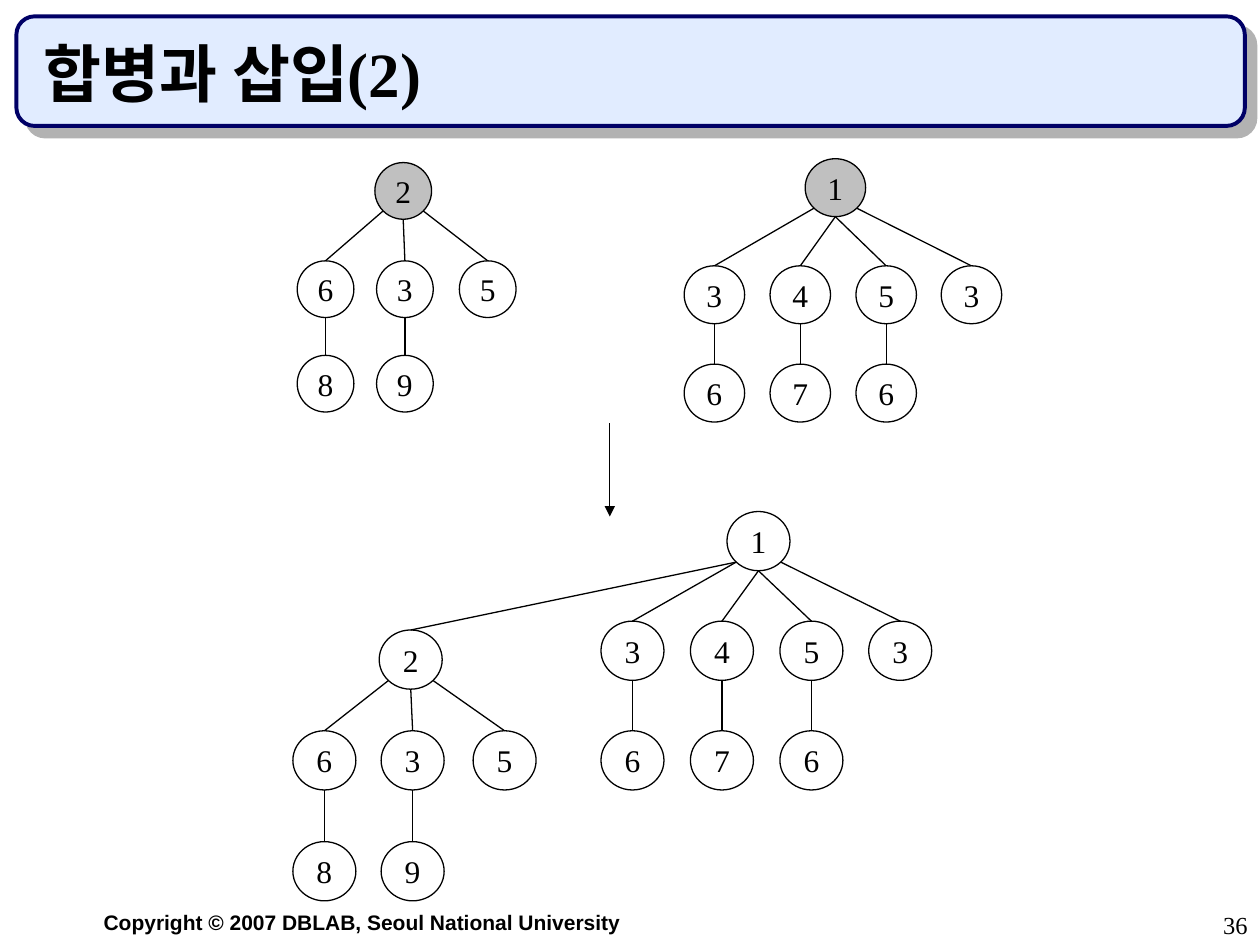
from dataclasses import dataclass
from math import sqrt

from lxml import etree
from pptx import Presentation
from pptx.dml.color import RGBColor
from pptx.enum.shapes import MSO_CONNECTOR, MSO_SHAPE
from pptx.enum.text import MSO_ANCHOR, PP_ALIGN
from pptx.oxml import parse_xml
from pptx.oxml.ns import qn
from pptx.util import Inches, Pt

STRAIGHT = MSO_CONNECTOR.STRAIGHT
OVAL, ROUNDED = MSO_SHAPE.OVAL, MSO_SHAPE.ROUNDED_RECTANGLE
LEFT, CENTER, RIGHT = PP_ALIGN.LEFT, PP_ALIGN.CENTER, PP_ALIGN.RIGHT
TOP, MIDDLE, BOTTOM = MSO_ANCHOR.TOP, MSO_ANCHOR.MIDDLE, MSO_ANCHOR.BOTTOM


@dataclass(frozen=True)
class Theme:
    serif: str = "Times New Roman"
    sans: str = "Arial"
    ink: str = "000000"
    banner: str = "E1ECFF"
    banner_edge: str = "000066"
    shadow: str = "B2B2B2"
    root: str = "C0C0C0"
    title_size: int = 36
    node_size: int = 18
    page_number_size: int = 14
    footer_size: int = 12
    thin: float = 0.75
    thick: float = 2.25


THEME = Theme()

TITLE = "합병과 삽입(2)"
FOOTER = "Copyright © 2007 DBLAB, Seoul National University"
PAGE_NUMBER = "36"

# Root label, then (label, offset from the root in node widths, label below or None)
TREE_TWO = ("2", [("6", -1.37, "8"), ("3", 0.03, "9"), ("5", 1.49, None)])
TREE_ONE = ("1", [("3", -2, "6"), ("4", -0.58, "7"), ("5", 0.84, "6"), ("3", 2.25, None)])

# Tree, root centre x, top of each level, node size, root fill
LAYOUTS = [
    (TREE_TWO, 3.2, (1.29, 2.07, 2.82), (0.45, 0.45), THEME.root),
    (TREE_ONE, 6.63, (1.26, 2.11, 2.89), (0.48, 0.46), THEME.root),
    (TREE_TWO, 3.26, (5.0, 5.8, 6.68), (0.5, 0.47), None),
    (TREE_ONE, 6.02, (4.06, 4.93, 5.8), (0.5, 0.47), None),
]


def color(value):
    return RGBColor.from_string(value)


def write(shape, text, size, font=THEME.serif, bold=False, align=LEFT, anchor=TOP, wrap=True):
    frame = shape.text_frame
    frame.word_wrap = wrap
    frame.vertical_anchor = anchor
    para = frame.paragraphs[0]
    para.text = text
    para.alignment = align
    para.font.name = font
    para.font.size = Pt(size)
    para.font.bold = bold
    para.font.color.rgb = color(THEME.ink)


def add_label(page, place, text, size, **style):
    box = page.shapes.add_textbox(*map(Inches, place))
    write(box, text, size, **style)


def add_banner(page):
    banner = page.shapes.add_shape(ROUNDED, *map(Inches, (0.13, 0.13, 9.75, 0.87)))
    banner.adjustments[0] = 0.167
    banner.fill.solid()
    banner.fill.fore_color.rgb = color(THEME.banner)
    banner.line.color.rgb = color(THEME.banner_edge)
    banner.line.width = Pt(THEME.thick)
    banner.shadow.inherit = False
    effects = banner.element.spPr.find(qn("a:effectLst"))
    effects.append(parse_xml(
        '<a:outerShdw xmlns:a="http://schemas.openxmlformats.org/drawingml/2006/main"'
        f' dist="{Pt(8.5)}" dir="2700000" algn="ctr" rotWithShape="0">'
        f'<a:srgbClr val="{THEME.shadow}"/></a:outerShdw>'))


def add_node(page, label, center_x, top, size, fill=None):
    width, height = size
    node = page.shapes.add_shape(
        OVAL, Inches(center_x - width / 2), Inches(top), Inches(width), Inches(height))
    node.shadow.inherit = False
    if fill:
        node.fill.solid()
        node.fill.fore_color.rgb = color(fill)
    else:
        node.fill.background()
    node.line.color.rgb = color(THEME.ink)
    node.line.width = Pt(THEME.thin)
    write(node, label, THEME.node_size, align=CENTER, anchor=MIDDLE, wrap=False)
    return node


def add_line(page, start, end):
    line = page.shapes.add_connector(STRAIGHT, *start, *end)
    line.line.color.rgb = color(THEME.ink)
    line.line.width = Pt(THEME.thin)
    etree.SubElement(line.element.spPr, qn("a:effectLst"))
    return line


def add_edge(page, parent, child):
    """Leave the parent at its bottom, or at a lower diagonal when the child is far aside."""
    x = parent.left + parent.width // 2
    y = parent.top + parent.height
    child_x = child.left + child.width // 2
    if abs(child_x - x) > parent.width:
        side = 1 if child_x > x else -1
        x += int(side * parent.width / 2 / sqrt(2))
        y = parent.top + int(parent.height / 2 * (1 + 1 / sqrt(2)))
    add_line(page, (x, y), (child_x, child.top)).end_connect(child, 0)


def add_tree(page, tree, root_x, levels, size, fill):
    """Draw one tree and return its root node."""
    root_label, branches = tree
    root = add_node(page, root_label, root_x, levels[0], size, fill)
    for label, offset, below in branches:
        x = root_x + offset * size[0]
        child = add_node(page, label, x, levels[1], size)
        add_edge(page, root, child)
        if below:
            add_edge(page, child, add_node(page, below, x, levels[2], size))
    return root


def add_arrow(page):
    arrow = add_line(page, (Inches(4.84), Inches(3.36)), (Inches(4.84), Inches(4.1)))
    outline = arrow.line._get_or_add_ln()
    etree.SubElement(outline, qn("a:tailEnd"), type="triangle")


def main():
    deck = Presentation()
    deck.slide_width, deck.slide_height = Inches(10), Inches(7.5)
    page = deck.slides.add_slide(deck.slide_layouts[6])

    add_banner(page)
    add_label(page, (0.25, 7.17, 5.25, 0.3), FOOTER, THEME.footer_size,
              font=THEME.sans, bold=True, align=CENTER)
    add_label(page, (0.25, 0.25, 9.42, 0.67), TITLE, THEME.title_size,
              bold=True, anchor=BOTTOM)

    roots = [add_tree(page, *layout) for layout in LAYOUTS]
    merged_two, merged_one = roots[2:]
    add_edge(page, merged_one, merged_two)
    add_arrow(page)

    add_label(page, (7.92, 7.17, 2.08, 0.33), PAGE_NUMBER, THEME.page_number_size, align=RIGHT)
    deck.save("out.pptx")


if __name__ == "__main__":
    main()
